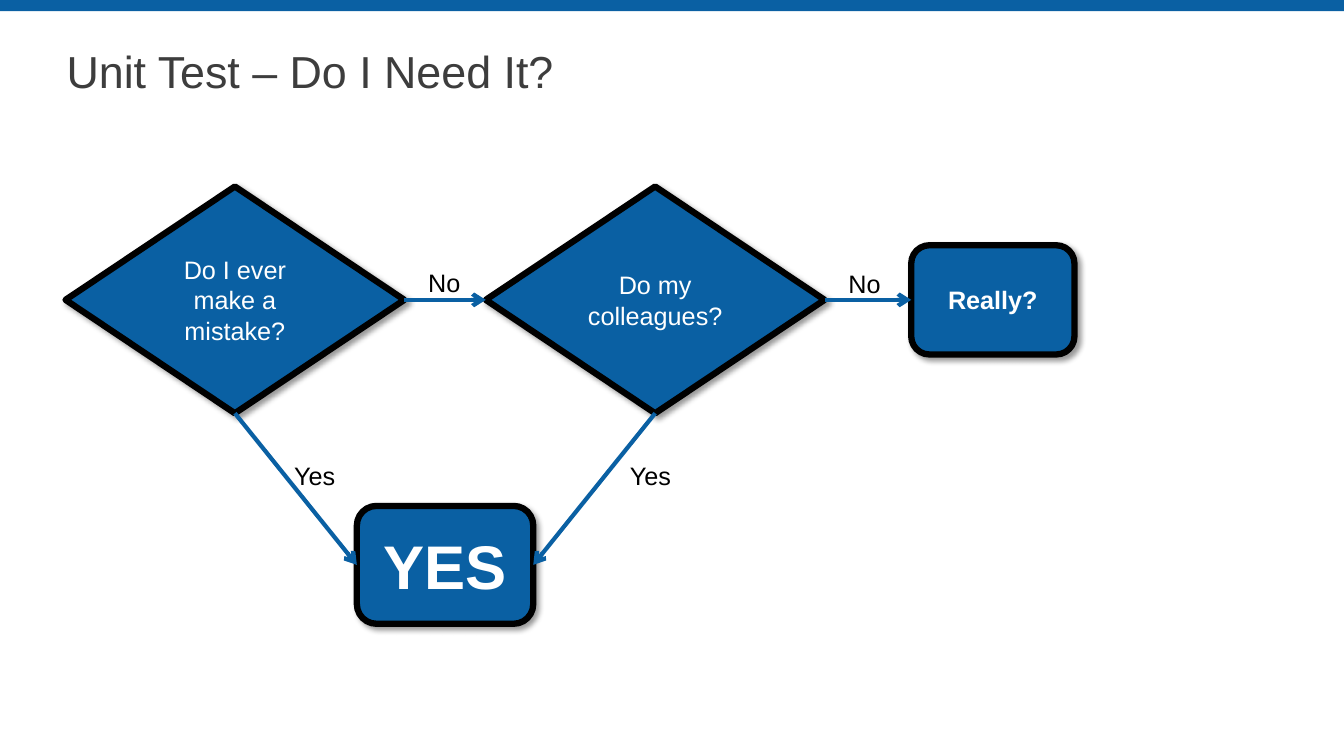
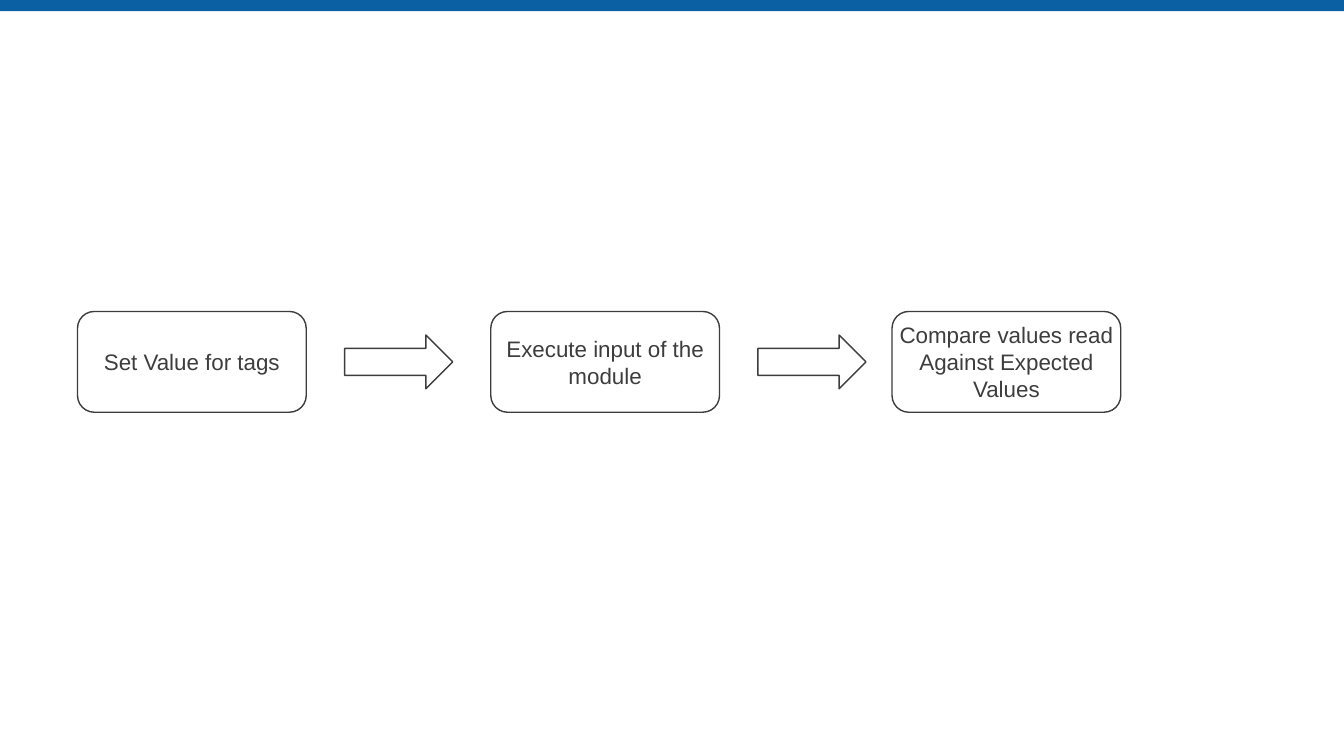
from lxml import etree
from pptx import Presentation
from pptx.dml.color import RGBColor
from pptx.enum.shapes import MSO_CONNECTOR, MSO_SHAPE
from pptx.enum.text import MSO_ANCHOR, MSO_AUTO_SIZE, PP_ALIGN
from pptx.oxml import parse_xml
from pptx.oxml.ns import qn
from pptx.util import Pt

DECISION = MSO_SHAPE.FLOWCHART_DECISION
OUTCOME = MSO_SHAPE.FLOWCHART_ALTERNATE_PROCESS
ROUNDED = MSO_SHAPE.ROUNDED_RECTANGLE
RIGHT_ARROW = MSO_SHAPE.RIGHT_ARROW
RECTANGLE = MSO_SHAPE.RECTANGLE
STRAIGHT = MSO_CONNECTOR.STRAIGHT
LEFT, CENTER = PP_ALIGN.LEFT, PP_ALIGN.CENTER
MIDDLE, TOP_ANCHOR = MSO_ANCHOR.MIDDLE, MSO_ANCHOR.TOP
GROW = MSO_AUTO_SIZE.SHAPE_TO_FIT_TEXT

BLUE = RGBColor(0x0A, 0x60, 0xA3)
GRAY = RGBColor(0x3D, 0x3D, 0x3D)
BLACK = RGBColor(0, 0, 0)
WHITE = RGBColor(255, 255, 255)
FONT = "Arial"
SLIDE_WIDTH, SLIDE_HEIGHT = 960, 540
TITLE_ONLY, BLANK = 5, 6
LEFT_SITE, BOTTOM_SITE, RIGHT_SITE = 1, 2, 3

# Content: the decision flow
TITLE = "Unit Test – Do I Need It?"
NODES = {  # name: (preset, text, box, size, bold)
    "mistake": (DECISION, "Do I ever make a mistake?", (46.8, 133.2, 242, 162), 18, False),
    "colleagues": (DECISION, "Do my colleagues?", (347, 133.2, 242, 162), 18, False),
    "yes": (OUTCOME, "YES", (254.9, 361.4, 126, 84.2), 44, True),
    "really": (OUTCOME, "Really?", (650.9, 175.2, 116.6, 78), 18, True),
}
LINKS = [  # from, site, to, site, label, label position
    ("mistake", RIGHT_SITE, "colleagues", LEFT_SITE, "No", (298.8, 187.2)),
    ("mistake", BOTTOM_SITE, "yes", LEFT_SITE, "Yes", (203, 325.4)),
    ("colleagues", BOTTOM_SITE, "yes", RIGHT_SITE, "Yes", (442.8, 325.4)),
    ("colleagues", RIGHT_SITE, "really", LEFT_SITE, "No", (599, 187.9)),
]
LABEL_WIDTHS = {"No": 37.4, "Yes": 43.9}
LABEL_HEIGHT = 29

# Content: the test steps
STEPS = [
    (55.4, ["Set Value for tags"]),
    (350.6, ["Execute input of the module"]),
    (637.2, ["Compare values read", "Against Expected Values"]),
]
STEP_TOP, STEP_WIDTH, STEP_HEIGHT = 222.5, 163.4, 72
ARROW_GAP, ARROW_WIDTH, ARROW_HEIGHT = 27.4, 77.2, 38.4

SHADOW = (
    '<a:effectLst xmlns:a="http://schemas.openxmlformats.org/drawingml/2006/main">'
    '<a:outerShdw blurRad="50800" dist="38100" dir="2700000" algn="tl" rotWithShape="0">'
    '<a:srgbClr val="000000"><a:alpha val="40000"/></a:srgbClr>'
    "</a:outerShdw></a:effectLst>"
)


def write_text(shape, paragraphs, size=18, color=BLACK, bold=False, align=LEFT,
               anchor=MIDDLE, side_inset=7.2, wrap=True, line_spacing=None):
    frame = shape.text_frame
    frame.text = "\n".join(paragraphs)
    frame.word_wrap = wrap
    frame.vertical_anchor = anchor
    frame.margin_left = frame.margin_right = Pt(side_inset)
    frame.margin_top = frame.margin_bottom = Pt(3.6)
    for paragraph in frame.paragraphs:
        paragraph.alignment = align
        paragraph.line_spacing = line_spacing
        font = paragraph.font
        font.name, font.size, font.bold = FONT, Pt(size), bold
        font.color.rgb = color


def add_shape(slide, preset, box, fill=None, line=None, line_width=1):
    shape = slide.shapes.add_shape(preset, *map(Pt, box))
    shape.shadow.inherit = False
    if fill is None:
        shape.fill.background()
    else:
        shape.fill.solid()
        shape.fill.fore_color.rgb = fill
    if line is None:
        shape.line.fill.background()
    else:
        shape.line.color.rgb = line
        shape.line.width = Pt(line_width)
    return shape


def add_node(slide, preset, text, box, size, bold):
    node = add_shape(slide, preset, box, fill=BLUE, line=BLACK, line_width=4.5)
    properties = node.element.spPr
    properties.replace(properties.find(qn("a:effectLst")), parse_xml(SHADOW))
    write_text(node, [text], size=size, color=WHITE, bold=bold, align=CENTER)
    return node


def add_link(slide, start, start_site, end, end_site):
    connector = slide.shapes.add_connector(STRAIGHT, 0, 0, 0, 0)
    connector.begin_connect(start, start_site)
    connector.end_connect(end, end_site)
    connector.line.color.rgb = BLUE
    connector.line.width = Pt(3)
    properties = connector.element.spPr
    etree.SubElement(properties.find(qn("a:ln")), qn("a:tailEnd"), type="arrow")
    etree.SubElement(properties, qn("a:effectLst"))


def add_master_band(presentation, slide):
    """Draw the top band and move it to the master, behind everything."""
    band = add_shape(slide, RECTANGLE, (0, 0, SLIDE_WIDTH, 7.9), fill=BLUE)
    presentation.slide_master.shapes.element.insert(2, band.element)


def build_decision_slide(slide):
    title = slide.shapes.title
    title.left, title.top, title.width, title.height = map(Pt, (47.5, 28.8, 864, 48.2))
    write_text(title, [TITLE], size=32, color=GRAY, side_inset=0, line_spacing=0.9)

    nodes = {name: add_node(slide, *spec) for name, spec in NODES.items()}
    for start, start_site, end, end_site, text, position in LINKS:
        add_link(slide, nodes[start], start_site, nodes[end], end_site)
        box = (*position, LABEL_WIDTHS[text], LABEL_HEIGHT)
        label = slide.shapes.add_textbox(*map(Pt, box))
        write_text(label, [text], anchor=TOP_ANCHOR, wrap=False)
        label.text_frame.auto_size = GROW


def build_steps_slide(slide):
    arrow_top = STEP_TOP + (STEP_HEIGHT - ARROW_HEIGHT) / 2
    for index, (left, paragraphs) in enumerate(STEPS):
        box = (left, STEP_TOP, STEP_WIDTH, STEP_HEIGHT)
        step = add_shape(slide, ROUNDED, box, line=GRAY)
        write_text(step, paragraphs, size=16, color=GRAY, align=CENTER, side_inset=0)
        if index < len(STEPS) - 1:
            arrow_left = left + STEP_WIDTH + ARROW_GAP
            arrow_box = (arrow_left, arrow_top, ARROW_WIDTH, ARROW_HEIGHT)
            add_shape(slide, RIGHT_ARROW, arrow_box, line=GRAY)


def main():
    presentation = Presentation()
    presentation.slide_width, presentation.slide_height = Pt(SLIDE_WIDTH), Pt(SLIDE_HEIGHT)
    layouts = presentation.slide_layouts
    decision_slide = presentation.slides.add_slide(layouts[TITLE_ONLY])
    add_master_band(presentation, decision_slide)
    build_decision_slide(decision_slide)
    build_steps_slide(presentation.slides.add_slide(layouts[BLANK]))
    presentation.save("out.pptx")


if __name__ == "__main__":
    main()
